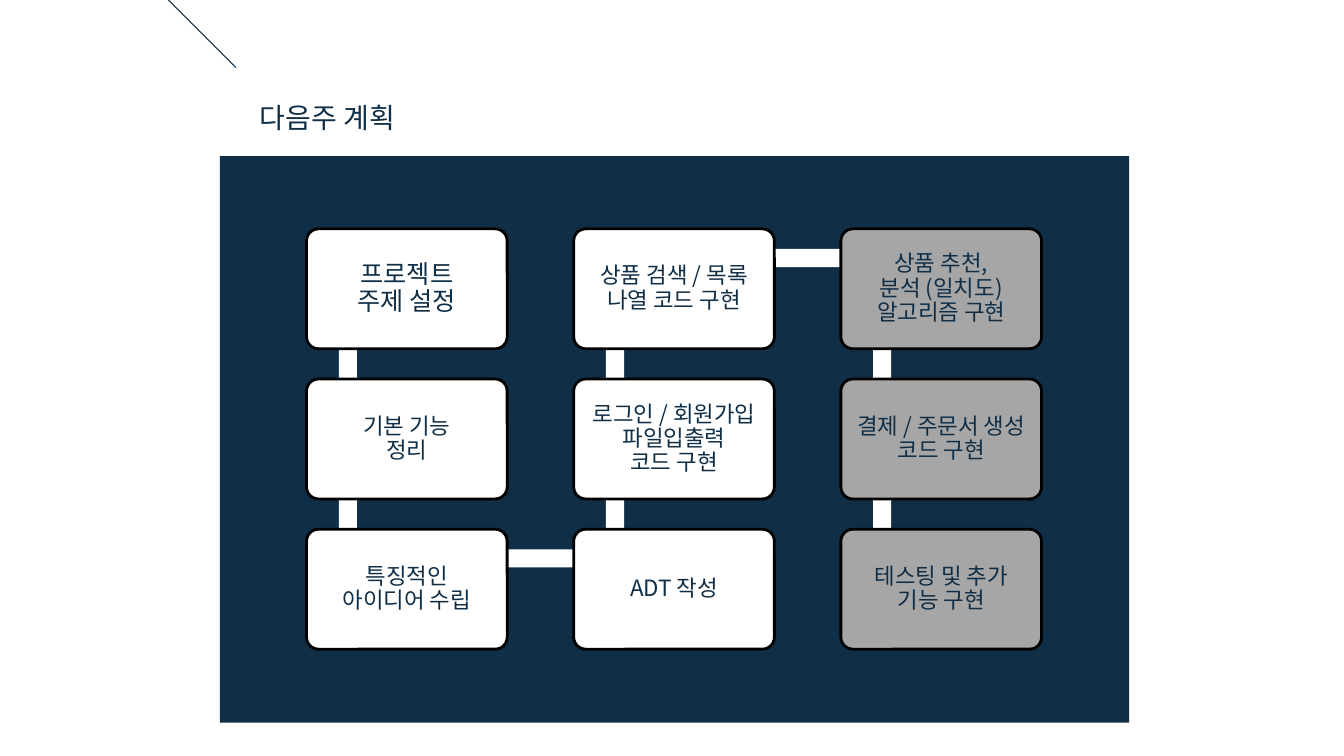
from copy import deepcopy

from lxml.etree import SubElement
from pptx import Presentation
from pptx.dml.color import RGBColor
from pptx.enum.shapes import MSO_CONNECTOR, MSO_SHAPE
from pptx.enum.text import MSO_ANCHOR, MSO_AUTO_SIZE, PP_ALIGN
from pptx.oxml import parse_xml
from pptx.oxml.ns import nsdecls, qn
from pptx.util import Inches, Pt

NAVY, WHITE, GRAY, BLACK = "102E46", "FFFFFF", "A6A6A6", "000000"
FONT = "Noto Sans CJK KR"


def write(frame, text, size=16, align=PP_ALIGN.LEFT, spacing=1.0, after=0):
    para = frame.paragraphs[0]
    para.text = text
    para.alignment = align
    para.line_spacing = spacing
    para.space_after = Pt(after)
    for span in para.runs:
        span.font.size = Pt(size)
        span.font.name = FONT
        span.font.color.rgb = RGBColor.from_string(NAVY)
        # Faint text outline and East Asian font
        props = span.font._element
        props.insert(0, parse_xml(
            f'<a:ln {nsdecls("a")} w="9525"><a:solidFill><a:srgbClr val="{NAVY}">'
            '<a:alpha val="30000"/></a:srgbClr></a:solidFill></a:ln>'))
        props.find(qn("a:latin")).addnext(
            parse_xml(f'<a:ea {nsdecls("a")} typeface="{FONT}"/>'))
    # Line breaks take the format of the text around them
    for line_break in para._p.findall(qn("a:br")):
        line_break.append(deepcopy(para.runs[0].font._element))


def add_block(kind, left, top, width, height, fill, line=None):
    block = page.shapes.add_shape(
        kind, Inches(left), Inches(top), Inches(width), Inches(height))
    block.shadow.inherit = False
    block.fill.solid()
    block.fill.fore_color.rgb = RGBColor.from_string(fill)
    if line:
        block.line.color.rgb = RGBColor.from_string(line)
        block.line.width = Pt(2)
    else:
        block.line.fill.background()
    return block


deck = Presentation()
deck.slide_width, deck.slide_height = Inches(13.33), Inches(7.5)
page = deck.slides.add_slide(deck.slide_layouts[6])

# Panel and corner line
add_block(MSO_SHAPE.RECTANGLE, 2.18, 1.55, 9.02, 5.62, NAVY)
corner = page.shapes.add_connector(
    MSO_CONNECTOR.STRAIGHT, Inches(1.67), 0, Inches(2.34), Inches(0.67))
corner.line.color.rgb = RGBColor.from_string(NAVY)
corner.line.width = Pt(0.75)
SubElement(corner._element.spPr, qn("a:effectLst"))

# Title
title = page.shapes.add_textbox(Inches(2.48), Inches(0.95), Inches(1.59), Inches(0.44))
title.text_frame.word_wrap = False
title.text_frame.auto_size = MSO_AUTO_SIZE.SHAPE_TO_FIT_TEXT
write(title.text_frame, "다음주 계획", size=20)

# Steps in order: the path runs down, up, then down again
steps = [
    "프로젝트\n주제 설정",
    "기본 기능\n정리",
    "특징적인\n아이디어 수립",
    "ADT 작성",
    "로그인 / 회원가입\n파일입출력\n코드 구현",
    "상품 검색 / 목록\n나열 코드 구현",
    "상품 추천,\n분석 (일치도)\n알고리즘 구현",
    "결제 / 주문서 생성 코드 구현",
    "테스팅 및 추가\n기능 구현",
]
ROWS = 3
LEFT, TOP, COLUMN_STEP, ROW_STEP = 3.04, 2.27, 2.65, 1.49
BAR = 0.18

# Bars behind the boxes
for column in range(3):
    left = LEFT + column * COLUMN_STEP
    for row in range(ROWS - 1):
        add_block(MSO_SHAPE.RECTANGLE, left + 0.32, TOP + row * ROW_STEP + 0.3,
                  BAR, 1.48, WHITE)
for column, row in [(0, 2), (1, 0)]:
    add_block(MSO_SHAPE.RECTANGLE, LEFT + column * COLUMN_STEP + 0.41,
              TOP + row * ROW_STEP + 0.2, 2.63, BAR, WHITE)

# Step boxes
for index, step in enumerate(steps):
    column, row = divmod(index, ROWS)
    if column == 1:
        row = ROWS - 1 - row
    box = add_block(MSO_SHAPE.ROUNDED_RECTANGLE, LEFT + column * COLUMN_STEP,
                    TOP + row * ROW_STEP, 1.99, 1.19,
                    GRAY if column == 2 else WHITE, BLACK)
    box.adjustments[0] = 0.1
    frame = box.text_frame
    frame.word_wrap = True
    frame.vertical_anchor = MSO_ANCHOR.MIDDLE
    frame.margin_left = frame.margin_right = Inches(0.07)
    frame.margin_top = frame.margin_bottom = Inches(0.07)
    write(frame, step, size=18 if index == 0 else 16,
          align=PP_ALIGN.CENTER, spacing=0.9, after=6)

deck.save("out.pptx")
